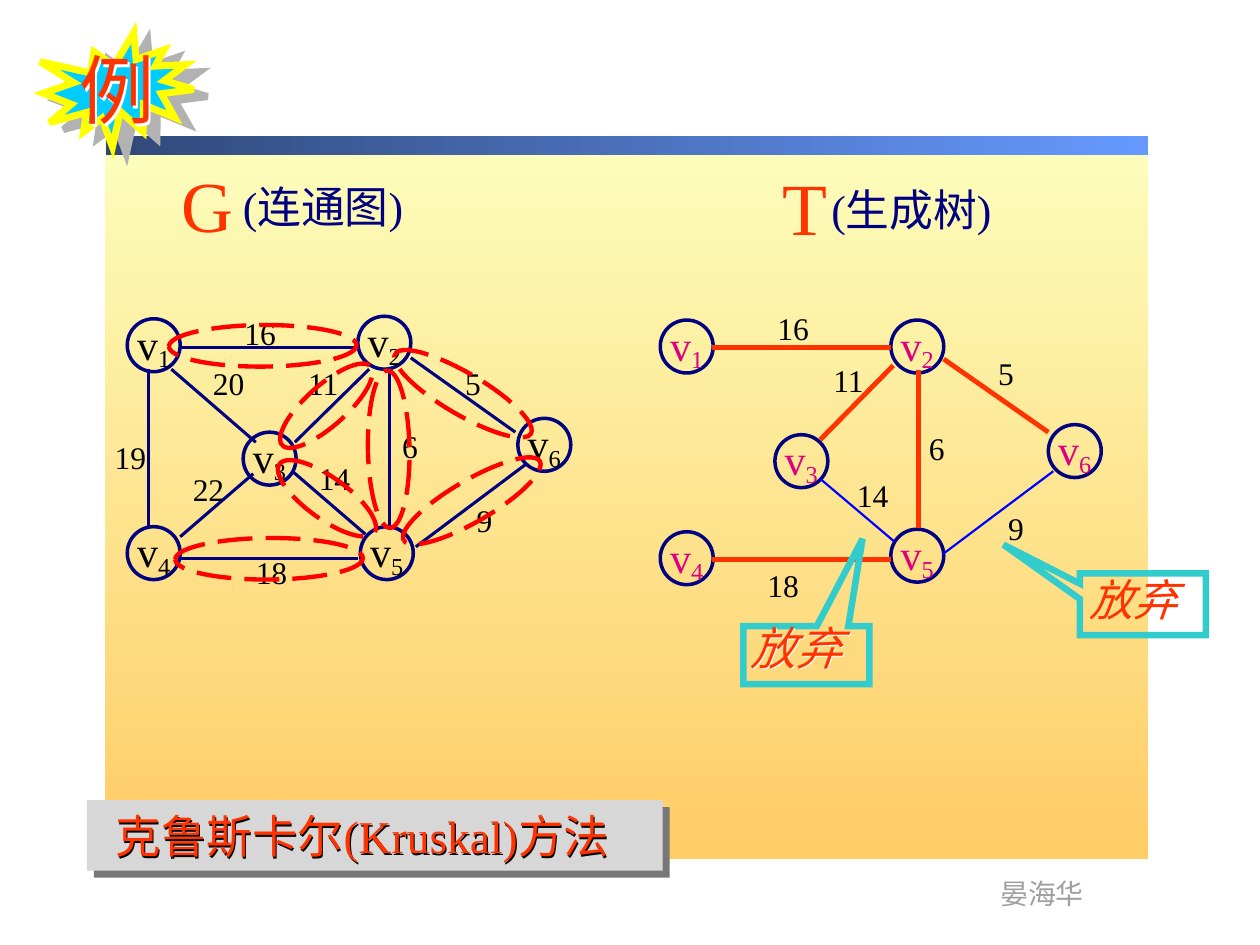
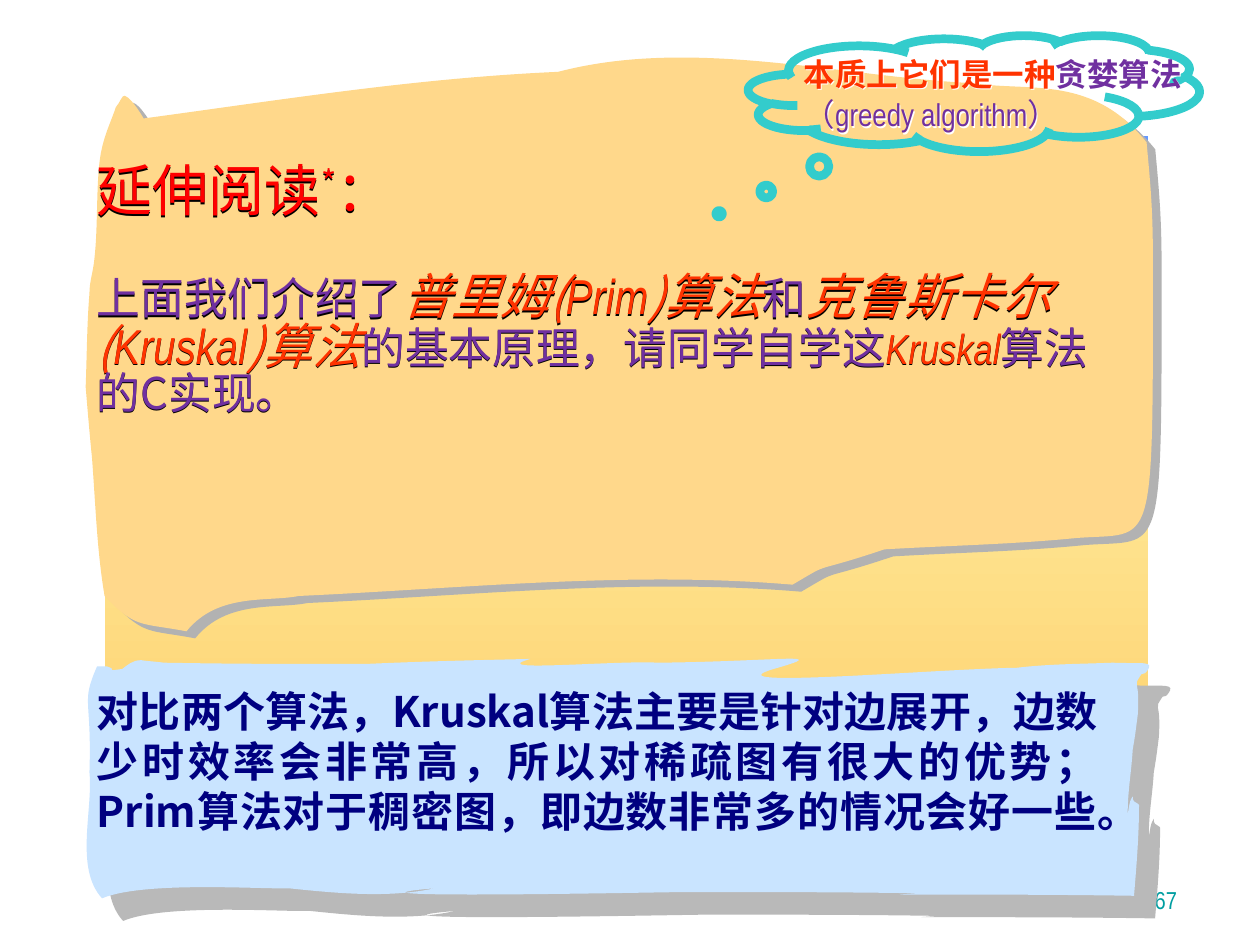
from lxml import etree
from pptx import Presentation
from pptx.dml.color import RGBColor
from pptx.enum.dml import MSO_LINE
from pptx.enum.shapes import MSO_CONNECTOR, MSO_SHAPE
from pptx.enum.text import MSO_ANCHOR, PP_ALIGN
from pptx.oxml.ns import qn
from pptx.util import Pt

PX = 9144
RECT, OVAL = MSO_SHAPE.RECTANGLE, MSO_SHAPE.OVAL
BURST, CLOUD = MSO_SHAPE.EXPLOSION1, MSO_SHAPE.CLOUD_CALLOUT
CALL = MSO_SHAPE.RECTANGULAR_CALLOUT
LINE, DASH = MSO_CONNECTOR.STRAIGHT, MSO_LINE.LONG_DASH
LEFT, MID, RIGHT, JUST = PP_ALIGN.LEFT, PP_ALIGN.CENTER, PP_ALIGN.RIGHT, PP_ALIGN.JUSTIFY
TIMES, SLIM, HAN = "Times New Roman", "Arial Narrow", "Noto Sans CJK SC"

BLACK = RGBColor(0x00, 0x00, 0x00)
WHITE = RGBColor(0xFF, 0xFF, 0xFF)
NAVY = RGBColor(0x00, 0x00, 0x80)
BLUE = RGBColor(0x00, 0x00, 0xFF)
RED = RGBColor(0xFF, 0x00, 0x00)
ORANGE = RGBColor(0xFF, 0x33, 0x00)
PINK = RGBColor(0xDC, 0x00, 0x81)
PURPLE = RGBColor(0x70, 0x30, 0xA0)
TEAL = RGBColor(0x33, 0xCC, 0xCC)
SKY = RGBColor(0x00, 0xCC, 0xFF)
YELLOW = RGBColor(0xFF, 0xFF, 0x00)
CREAM = RGBColor(0xFC, 0xFE, 0xBC)
GOLD = RGBColor(0xFF, 0xCC, 0x66)
DUSK = RGBColor(0x30, 0x48, 0x78)
DAY = RGBColor(0x66, 0x99, 0xFF)
GREY = RGBColor(0x9F, 0x9F, 0x9F)
SILVER = RGBColor(0xD7, 0xD7, 0xD7)
SLATE = RGBColor(0x77, 0x77, 0x77)
ASH = RGBColor(0xB2, 0xB2, 0xB2)
SMOKE = RGBColor(0xB9, 0xB9, 0xB9)
PEACH = RGBColor(0xFF, 0xD8, 0x8B)
ICE = RGBColor(0xC9, 0xE4, 0xFF)
PAGE = RGBColor(0x00, 0x9E, 0xA1)

NODE = 42
GRAPH = {
    "ink": BLACK,
    "nodes": [(101, 253), (284, 251), (193, 343), (101, 418), (286, 418), (411, 332)],
    "edges": [
        (143, 276, 284, 276), (118, 293, 118, 418), (326, 284, 409, 343),
        (143, 443, 284, 443), (309, 293, 309, 418), (330, 434, 418, 368),
        (136, 293, 203, 351), (143, 426, 201, 376), (232, 374, 290, 424),
        (234, 351, 293, 293),
    ],
    "costs": [
        (16, 184, 244), (11, 234, 284), (5, 359, 284), (6, 309, 334), (9, 368, 393),
        (18, 193, 434), (14, 243, 359), (19, 81, 343), (22, 143, 368), (20, 159, 284),
    ],
}
TREE = {
    "ink": PINK,
    "nodes": [(524, 254), (707, 254), (615, 345), (524, 422), (707, 420), (832, 337)],
    "kept": [
        (749, 285, 832, 343), (729, 294, 729, 419), (651, 349, 709, 290),
        (565, 276, 707, 276), (565, 444, 707, 444),
    ],
    "left": [(748, 440, 836, 374), (651, 380, 710, 430)],
    "costs": [
        (5, 782, 276), (6, 727, 336), (9, 790, 399), (11, 651, 282),
        (14, 670, 373), (16, 607, 240), (18, 599, 444),
    ],
}
RINGS = [
    (305, 296, 125, 33, 30.4), (246, 340, 125, 33, 89), (312, 381, 125, 33, 329.8),
    (212, 306, 94, 32, 318.3), (213, 379, 93, 33, 35.8), (134, 258, 149, 33, 359.6),
    (139, 427, 149, 33, 359.6),
]
HEADS = [
    ("G", 41, (133, 123, 64, 78), "(连通图)", (183, 138, 175, 52)),
    ("T", 42, (609, 124, 59, 80), "(生成树)", (650, 140, 167, 52)),
]
DROPS = [
    ((857, 455, 100, 49), (-1.106, -0.965), (855, 450, 110, 52), 25, None),
    ((590, 497, 100, 46), (0.446, -2.007), (586, 489, 112, 53), 26, WHITE),
]
METHOD = [
    ("克鲁斯卡尔", 26, HAN, ORANGE), ("(Kruskal)", 26, TIMES, ORANGE), ("方法", 26, HAN, ORANGE),
]
TITLE = [("延伸阅读", 32, HAN, RED), ("*", 32, HAN, RED, "sup"), ("：", 32, HAN, RED)]
BODY = [
    ("上面我们介绍了", 25, HAN, PURPLE),
    ("普里姆(", 28, HAN, ORANGE, "i"), ("Prim", 28, SLIM, ORANGE, "i"),
    (")算法", 28, HAN, ORANGE, "i"), ("和", 25, HAN, PURPLE),
    ("克鲁斯卡尔(", 28, HAN, ORANGE, "i"), ("Kruskal", 28, SLIM, ORANGE, "i"),
    (")算法", 28, HAN, ORANGE, "i"), ("的基本原理，请同学自学这", 25, HAN, PURPLE),
    ("Kruskal", 24, SLIM, ORANGE, "i"), ("算法的C实现。", 25, HAN, PURPLE),
]
COMPARE = (
    "对比两个算法，Kruskal算法主要是针对边展开，边数少时效率会非常高，"
    "所以对稀疏图有很大的优势；Prim算法对于稠密图，即边数非常多的情况会好一些。"
)
GREEDY = [
    ("本质上它们是一种", 18, SLIM, ORANGE, "b"), ("贪婪算法", 18, SLIM, PURPLE, "b"),
    ("（greedy algorithm）", 18, SLIM, PURPLE),
]
SCROLL = [
    (92, 85), (95, 82, 97, 75, 99, 76), (105, 78, 114, 94, 114, 94),
    (225, 79, 330, 62, 443, 57), (550, 29, 667, 61, 772, 66),
    (817, 73, 867, 59, 910, 113), (913, 146, 915, 166, 915, 205),
    (915, 445, 917, 422, 854, 427), (804, 432, 753, 433, 702, 436),
    (639, 457, 663, 444, 629, 464), (499, 453, 368, 467, 237, 473),
    (213, 478, 173, 470, 148, 501), (111, 494, 108, 499, 83, 473),
    (77, 437, 76, 403, 73, 363), (71, 344, 68, 307, 68, 307),
    (69, 282, 69, 257, 71, 233), (71, 223, 74, 216, 75, 205),
    (78, 178, 76, 145, 80, 122), (83, 106, 88, 97, 92, 85),
]
PAPER = [
    (130, 526), (188, 527, 229, 527, 290, 527), (333, 525, 377, 524, 421, 523),
    (382, 534, 491, 524, 522, 526), (619, 525, 663, 517, 614, 531),
    (560, 547, 742, 531, 807, 530), (832, 527, 857, 527, 883, 526),
    (907, 527, 917, 524, 910, 533), (910, 534, 908, 535, 906, 535),
    (898, 547, 905, 536, 903, 567), (901, 583, 901, 583, 899, 595),
    (898, 612, 895, 628, 895, 645), (895, 648, 896, 639, 897, 636),
    (897, 635, 898, 634, 899, 632), (899, 634, 899, 635, 900, 636),
    (901, 637, 904, 638, 904, 639), (904, 663, 902, 687, 900, 711),
    (839, 710, 777, 710, 715, 710), (711, 710, 731, 709, 727, 709),
    (666, 708, 605, 708, 544, 708), (531, 708, 239, 714, 345, 705),
    (309, 713, 267, 709, 229, 705), (210, 706, 114, 699, 81, 713),
    (59, 689, 74, 643, 71, 613), (73, 552, 64, 559, 77, 529),
    (80, 529, 83, 529, 85, 529), (95, 532, 81, 533, 97, 531),
    (101, 528, 105, 524, 112, 524), (119, 525, 123, 525, 130, 526),
    (130, 526, 146, 528, 130, 526),
]


def emu(*nums):
    return [n * PX for n in nums]


def shade(item, ink, dist, turn):
    props = item._element.spPr
    fx = props.find(qn("a:effectLst"))
    if fx is None:
        fx = etree.SubElement(props, qn("a:effectLst"))
    cast = etree.SubElement(fx, qn("a:outerShdw"), blurRad="0", dist=str(Pt(dist)),
                            dir=str(turn * 60000), algn="ctr", rotWithShape="0")
    etree.SubElement(cast, qn("a:srgbClr"), val=str(ink))


def paint(item, fill=None, line=None, wide=1):
    item.shadow.inherit = False
    if fill is None:
        item.fill.background()
    else:
        item.fill.solid()
        item.fill.fore_color.rgb = fill
    if line is None:
        item.line.fill.background()
    else:
        item.line.color.rgb = line
        item.line.width = Pt(wide)
    return item


def form(sl, kind, box, fill=None, line=None, wide=1, turn=0, adj=()):
    item = paint(sl.shapes.add_shape(kind, *emu(*box)), fill, line, wide)
    item.rotation = turn
    for n, val in enumerate(adj):
        item.adjustments[n] = val
    if kind in (CALL, BURST):
        etree.SubElement(item._element.spPr.find(qn("a:ln")), qn("a:miter"), lim="800000")
    return item


def fade(sl, box, first, last, turn):
    item = form(sl, RECT, box)
    item.fill.gradient()
    item.fill.gradient_angle = turn
    for stop, ink in zip(item.fill.gradient_stops, (first, last)):
        stop.color.rgb = ink


def curve(sl, outline, fill):
    pen = sl.shapes.build_freeform(*outline[0], scale=float(PX))
    for row in outline[1:]:
        pen.add_line_segments(list(zip(row[::2], row[1::2])), close=False)
    item = paint(pen.convert_to_shape(), fill)
    track = item._element.spPr.find(".//" + qn("a:path"))
    steps = track.findall(qn("a:lnTo"))
    for n in range(0, len(steps), 3):
        bend = etree.SubElement(track, qn("a:cubicBezTo"))
        for step in steps[n:n + 3]:
            bend.append(step[0])
            track.remove(step)
    etree.SubElement(track, qn("a:close"))
    return item


def write(par, runs, side=LEFT, pitch=None, gap=None):
    par.alignment = side
    if pitch:
        par.line_spacing = pitch if pitch < 2 else Pt(pitch)
    if gap:
        par.space_before = Pt(gap)
    for words, size, face, ink, *style in runs:
        run = par.add_run()
        run.text = words
        font = run.font
        font.size, font.name, font.color.rgb = Pt(size), face, ink
        font.bold, font.italic = "b" in style, "i" in style
        props = font._element
        etree.SubElement(props, qn("a:ea"), typeface=HAN)
        if "sup" in style:
            props.set("baseline", "30000")
        if "sub" in style:
            props.set("baseline", "-18000")


def text(sl, box, runs, side=LEFT, pitch=None, wrap=True):
    item = sl.shapes.add_textbox(*emu(*box))
    item.text_frame.word_wrap = wrap
    write(item.text_frame.paragraphs[0], runs, side, pitch)
    return item


def link(sl, ends, ink, wide):
    item = sl.shapes.add_connector(LINE, *emu(*ends))
    item.line.color.rgb = ink
    item.line.width = Pt(wide)
    etree.SubElement(item._element.spPr, qn("a:effectLst"))


def net(sl, data, sets):
    for n, (x, y) in enumerate(data["nodes"], 1):
        frame = form(sl, OVAL, (x, y, NODE, NODE), line=NAVY, wide=2).text_frame
        frame.word_wrap = False
        frame.vertical_anchor = MSO_ANCHOR.MIDDLE
        write(frame.paragraphs[0], [
            ("v", 24, TIMES, data["ink"]), (str(n), 24, TIMES, data["ink"], "sub")], MID)
    for key, ink, wide in sets:
        for ends in data[key]:
            link(sl, ends, ink, wide)
    for cost, x, y in data["costs"]:
        wide = 45 if cost > 9 else 33
        text(sl, (x, y, wide, 40), [(str(cost), 18, TIMES, BLACK)], MID, wrap=False)


def base(deck):
    sl = deck.slides.add_slide(deck.slide_layouts[6])
    fade(sl, (83, 110, 828, 572), CREAM, GOLD, 270)
    fade(sl, (84, 108, 827, 15), DUSK, DAY, 0)
    text(sl, (784, 690, 87, 37), [("晏海华", 16, SLIM, GREY)], pitch=19.5, wrap=False)
    return sl


def kruskal(deck):
    sl = base(deck)
    for mark, size, spot, note, box in HEADS:
        text(sl, spot, [(mark, size, TIMES, ORANGE)], MID, wrap=False)
        text(sl, box, [(note, 25, TIMES, NAVY)], pitch=30)
    net(sl, GRAPH, [("edges", NAVY, 1.75)])
    net(sl, TREE, [("kept", ORANGE, 2.75), ("left", BLUE, 1.25)])
    for *box, turn in RINGS:
        form(sl, OVAL, box, line=RED, wide=2.5, turn=turn).line.dash_style = DASH
    for box, tip, spot, size, glow in DROPS:
        form(sl, CALL, box, line=TEAL, wide=3.75, adj=tip)
        item = text(sl, spot, [("放弃", size, TIMES, ORANGE, "i")], pitch=30)
        if glow:
            shade(item, glow, 1, 45)
    shade(form(sl, RECT, (69, 635, 457, 56), SILVER), SLATE, 5.7, 45)
    shade(text(sl, (82, 637, 528, 53), METHOD, pitch=31), BLACK, 1, 45)
    star = form(sl, BURST, (35, 29, 118, 86), SKY, YELLOW, 4, 349.6)
    shade(star, ASH, 8.9, 27)
    shade(text(sl, (53, 29, 117, 82), [("例", 43, TIMES, ORANGE)], pitch=52), WHITE, 2, 45)


def reading(deck):
    sl = base(deck)
    page = text(sl, (736, 681, 208, 50), [("67", 14, SLIM, PAGE)], RIGHT)
    page.text_frame.vertical_anchor = MSO_ANCHOR.BOTTOM
    shade(curve(sl, SCROLL, PEACH), ASH, 6.4, 39)
    item = text(sl, (67, 119, 835, 243), TITLE, pitch=38)
    write(item.text_frame.add_paragraph(), BODY, pitch=0.84, gap=30)
    shade(item, BLACK, 1, 90)
    shade(curve(sl, PAPER, ICE), SMOKE, 17.7, 47)
    text(sl, (67, 539, 814, 131), [(COMPARE, 24, HAN, NAVY, "b")], JUST, 28.6)
    form(sl, CLOUD, (594, 28, 358, 92), line=TEAL, wide=5, adj=(-0.565, 1.04))
    shade(text(sl, (628, 37, 325, 71), GREEDY, pitch=23), WHITE, 1, 45)


def main():
    deck = Presentation()
    deck.slide_width, deck.slide_height = emu(1000, 750)
    kruskal(deck)
    reading(deck)
    deck.save("out.pptx")


if __name__ == "__main__":
    main()
